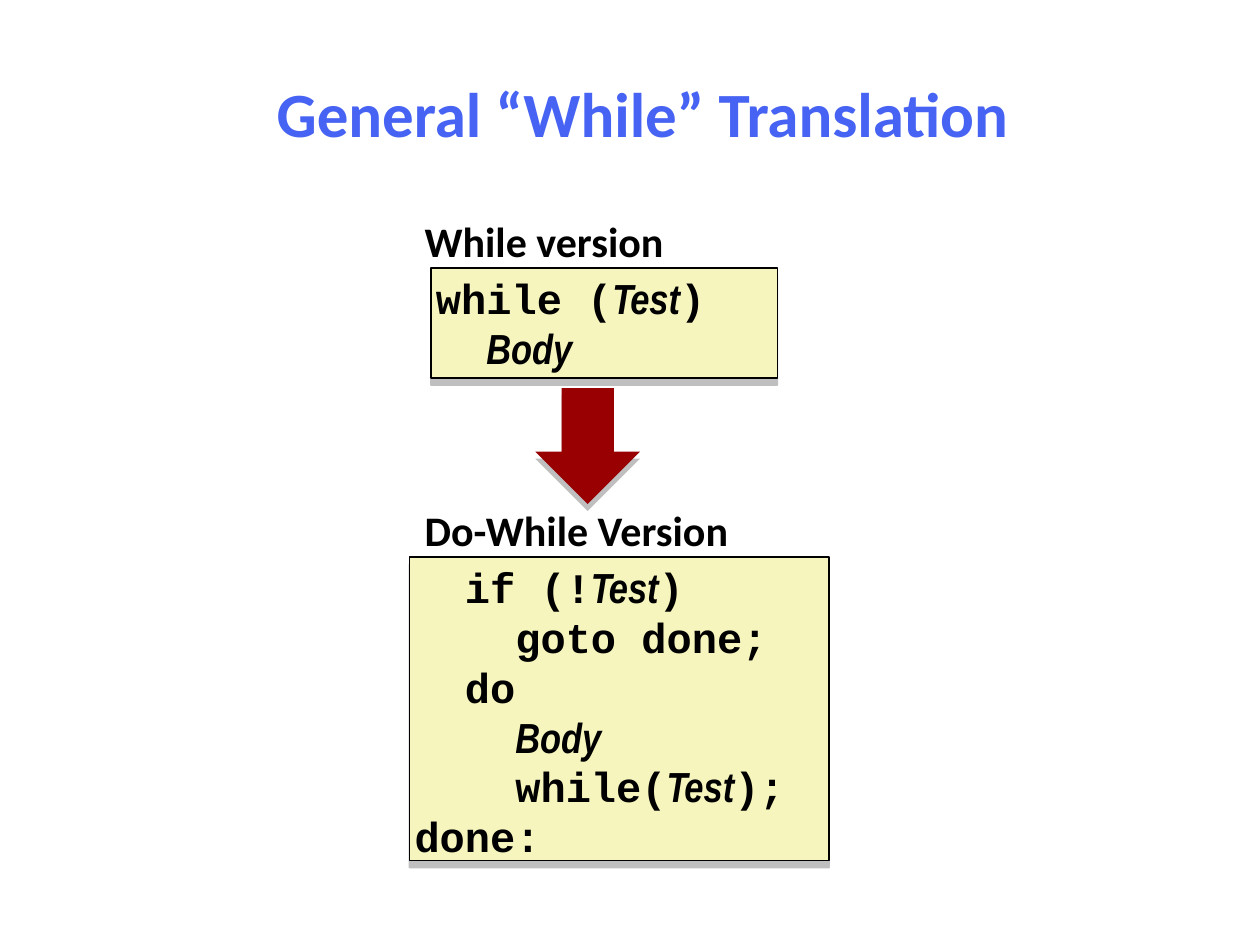
from dataclasses import dataclass

from lxml import etree
from pptx import Presentation
from pptx import util as u
from pptx.dml.color import RGBColor
from pptx.enum import shapes, text
from pptx.oxml import ns


@dataclass(frozen=True)
class Theme:
    title_color: RGBColor = RGBColor(0x47, 0x63, 0xF3)
    ink: RGBColor = RGBColor(0, 0, 0)
    code_fill: RGBColor = RGBColor(0xF6, 0xF5, 0xBD)
    arrow_fill: RGBColor = RGBColor(0x98, 0, 0x02)
    shadow: str = "808080"
    body_font: str = "Calibri"
    code_font: str = "Courier New"
    term_font: str = "Arial Narrow"
    title_size: u.Pt = u.Pt(36)
    text_size: u.Pt = u.Pt(24)
    code_pitch: u.Pt = u.Pt(28.5)
    inset: u.Inches = u.Inches(0.04)


THEME = Theme()


def style_font(font, name, size, color):
    font.name, font.size, font.bold = name, size, True
    font.color.rgb = color


def set_frame(frame):
    frame.word_wrap = True
    frame.vertical_anchor = text.MSO_ANCHOR.TOP
    frame.margin_left = frame.margin_right = THEME.inset
    frame.margin_top = frame.margin_bottom = THEME.inset


def drop_shadow(shape):
    """Half-transparent shadow, 4 pt straight down."""
    shape.shadow.inherit = False
    effects = shape.fill._xPr.find(ns.qn("a:effectLst"))
    outer = etree.SubElement(effects, ns.qn("a:outerShdw"), blurRad="0",
                             dist=str(u.Pt(4)), dir="5400000", rotWithShape="0")
    color = etree.SubElement(outer, ns.qn("a:srgbClr"), val=THEME.shadow)
    etree.SubElement(color, ns.qn("a:alpha"), val="50000")


def add_title(slide, box, wording):
    title = slide.shapes.title
    title.left, title.top, title.width, title.height = map(u.Inches, box)
    title.text_frame.text = wording
    title.text_frame.vertical_anchor = text.MSO_ANCHOR.MIDDLE
    line = title.text_frame.paragraphs[0]
    line.alignment = text.PP_ALIGN.CENTER
    style_font(line.font, THEME.body_font, THEME.title_size, THEME.title_color)


def add_label(slide, box, wording):
    label = slide.shapes.add_textbox(*map(u.Inches, box))
    set_frame(label.text_frame)
    line = label.text_frame.paragraphs[0]
    line.text = wording
    style_font(line.font, THEME.body_font, THEME.text_size, THEME.ink)


def add_code(slide, box, code):
    """Code panel; terms between asterisks are set in narrow italics."""
    panel = slide.shapes.add_shape(shapes.MSO_SHAPE.RECTANGLE, *map(u.Inches, box))
    panel.fill.solid()
    panel.fill.fore_color.rgb = THEME.code_fill
    panel.line.color.rgb = THEME.ink
    panel.line.width = u.Pt(1)
    drop_shadow(panel)
    frame = panel.text_frame
    set_frame(frame)
    for row, code_line in enumerate(code):
        line = frame.add_paragraph() if row else frame.paragraphs[0]
        line.alignment = text.PP_ALIGN.LEFT
        line.line_spacing = THEME.code_pitch
        for part, wording in enumerate(code_line.split("*")):
            if not wording:
                continue
            is_term = part % 2 == 1
            run = line.add_run()
            run.text = wording
            style_font(run.font, THEME.term_font if is_term else THEME.code_font,
                       THEME.text_size, THEME.ink)
            run.font.italic = is_term


def add_arrow(slide, box):
    arrow = slide.shapes.add_shape(shapes.MSO_SHAPE.DOWN_ARROW, *map(u.Inches, box))
    arrow.fill.solid()
    arrow.fill.fore_color.rgb = THEME.arrow_fill
    arrow.line.fill.background()
    drop_shadow(arrow)


def main():
    deck = Presentation()
    deck.slide_width, deck.slide_height = u.Inches(10), u.Inches(7.5)
    slide = deck.slides.add_slide(deck.slide_layouts.get_by_name("Title Only"))

    add_title(slide, (0.95, 0.48, 8.3, 0.83), "General “While” Translation")

    # While version
    add_label(slide, (3.33, 1.67, 2.86, 0.49), "While version")
    add_code(slide, (3.42, 2.13, 2.75, 0.87), ["while (*Test*)", "  *Body*"])

    # Do-while version
    add_label(slide, (3.33, 3.96, 3.18, 0.49), "Do-While Version")
    add_code(slide, (3.25, 4.42, 3.33, 2.41), [
        "  if (!*Test*)",
        "    goto done;",
        "  do",
        "    *Body*",
        "    while(*Test*);",
        "done:",
    ])

    # Translation step
    add_arrow(slide, (4.25, 3.08, 0.83, 0.92))

    deck.save("out.pptx")


if __name__ == "__main__":
    main()
